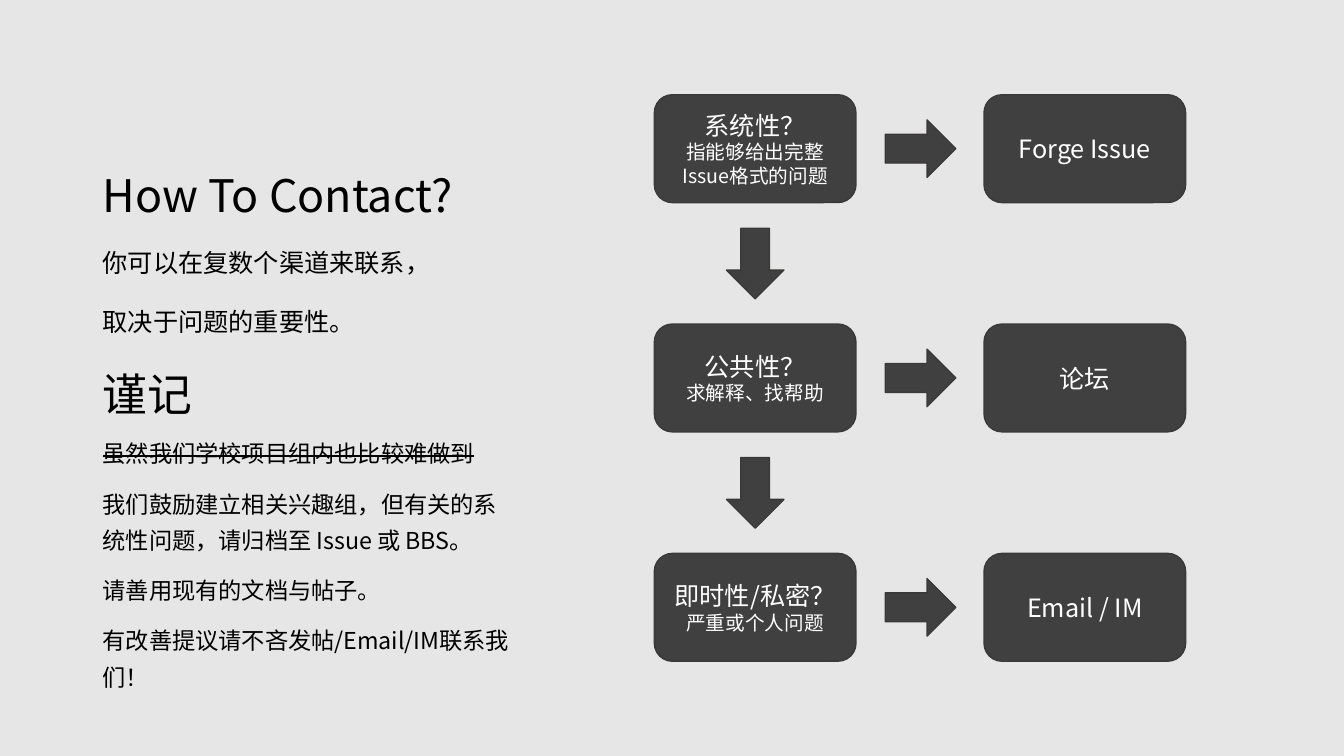
from lxml import etree
from pptx import Presentation
from pptx.dml.color import RGBColor
from pptx.enum import shapes, text
from pptx.oxml import ns
from pptx.util import Inches, Pt

FONT = "Noto Sans CJK SC"
COLORS = {"back": "E7E6E6", "box": "404040", "edge": "3B3838",
          "ink": "000000", "white": "FFFFFF"}


def write(frame, lines, color, space=1.0, before=0, align=None):
    """Fill a text frame with (wording, size) lines."""
    frame.word_wrap = True
    for i, (words, size) in enumerate(lines):
        para = frame.paragraphs[0] if i == 0 else frame.add_paragraph()
        para.text = words
        para.alignment = align
        para.line_spacing = space
        para.space_before = Pt(before)
        font = para.font
        font.size = Pt(size)
        font.name = FONT
        font.color.rgb = RGBColor.from_string(COLORS[color])
        # East Asian glyphs need their own typeface entry
        etree.SubElement(font._element, ns.qn("a:ea"), typeface=FONT)


def block(kind, left, top, width, height):
    """Add a dark shape with a thin edge."""
    shape = slide.shapes.add_shape(
        kind, Inches(left), Inches(top), Inches(width), Inches(height))
    shape.shadow.inherit = False
    shape.fill.solid()
    shape.fill.fore_color.rgb = RGBColor.from_string(COLORS["box"])
    shape.line.color.rgb = RGBColor.from_string(COLORS["edge"])
    shape.line.width = Pt(1)
    return shape


prs = Presentation()
prs.slide_width, prs.slide_height = Inches(13.33), Inches(7.5)
slide = prs.slides.add_slide(prs.slide_layouts[6])
slide.background.fill.solid()
slide.background.fill.fore_color.rgb = RGBColor.from_string(COLORS["back"])

# Left column: top, height, anchor, line spacing, space before, size, lines
TOP, BOTTOM = text.MSO_ANCHOR.TOP, text.MSO_ANCHOR.BOTTOM
column = [
    (0.5, 1.75, BOTTOM, 0.9, 0, 32, ["How To Contact?"]),
    (2.25, 4.17, TOP, 1.5, 10, 18,
     ["你可以在复数个渠道来联系，", "取决于问题的重要性。"]),
    (2.48, 1.75, BOTTOM, 0.9, 0, 32, ["谨记"]),
    (4.23, 2.77, TOP, 1.3, 10, 16.6,
     ["虽然我们学校项目组内也比较难做到",
      "我们鼓励建立相关兴趣组，但有关的系统性问题，请归档至 Issue 或 BBS。",
      "请善用现有的文档与帖子。",
      "有改善提议请不吝发帖/Email/IM联系我们！"]),
]
for top, height, anchor, space, before, size, lines in column:
    area = slide.shapes.add_textbox(
        Inches(0.92), Inches(top), Inches(4.3), Inches(height))
    frame = area.text_frame
    frame.vertical_anchor = anchor
    write(frame, [(words, size) for words in lines], "ink", space, before)

# The first reminder is struck through
frame.paragraphs[0].font._element.set("strike", "sngStrike")

# Flow chart: question, hint, channel
steps = [
    ("系统性？", "指能够给出完整Issue格式的问题", "Forge Issue"),
    ("公共性？", "求解释、找帮助", "论坛"),
    ("即时性/私密？", "严重或个人问题", "Email / IM"),
]
BOX = shapes.MSO_SHAPE.ROUNDED_RECTANGLE
ARROW = shapes.MSO_SHAPE.RIGHT_ARROW
for row, (ask, hint, goal) in enumerate(steps):
    top = 0.94 + row * 2.275
    cells = [(6.49, [(ask, 18), (hint, 14)]), (9.76, [(goal, 18)])]
    for left, lines in cells:
        box = block(BOX, left, top, 2, 1.07)
        box.text_frame.vertical_anchor = text.MSO_ANCHOR.MIDDLE
        write(box.text_frame, lines, "white", align=text.PP_ALIGN.CENTER)
    block(ARROW, 8.78, top + 0.25, 0.7, 0.57)
    if row < len(steps) - 1:
        down = block(ARROW, 7.14, top + 1.39, 0.7, 0.57)
        down.rotation = 90

prs.save("out.pptx")
